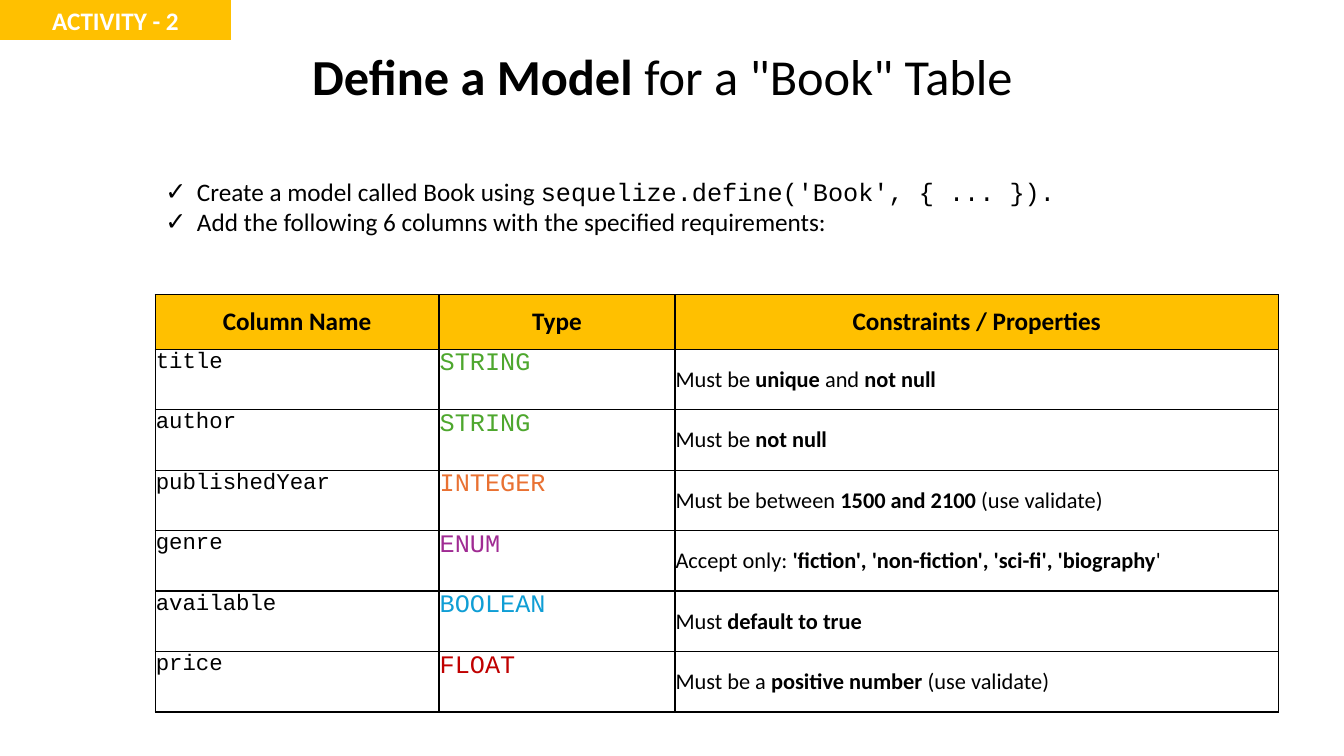
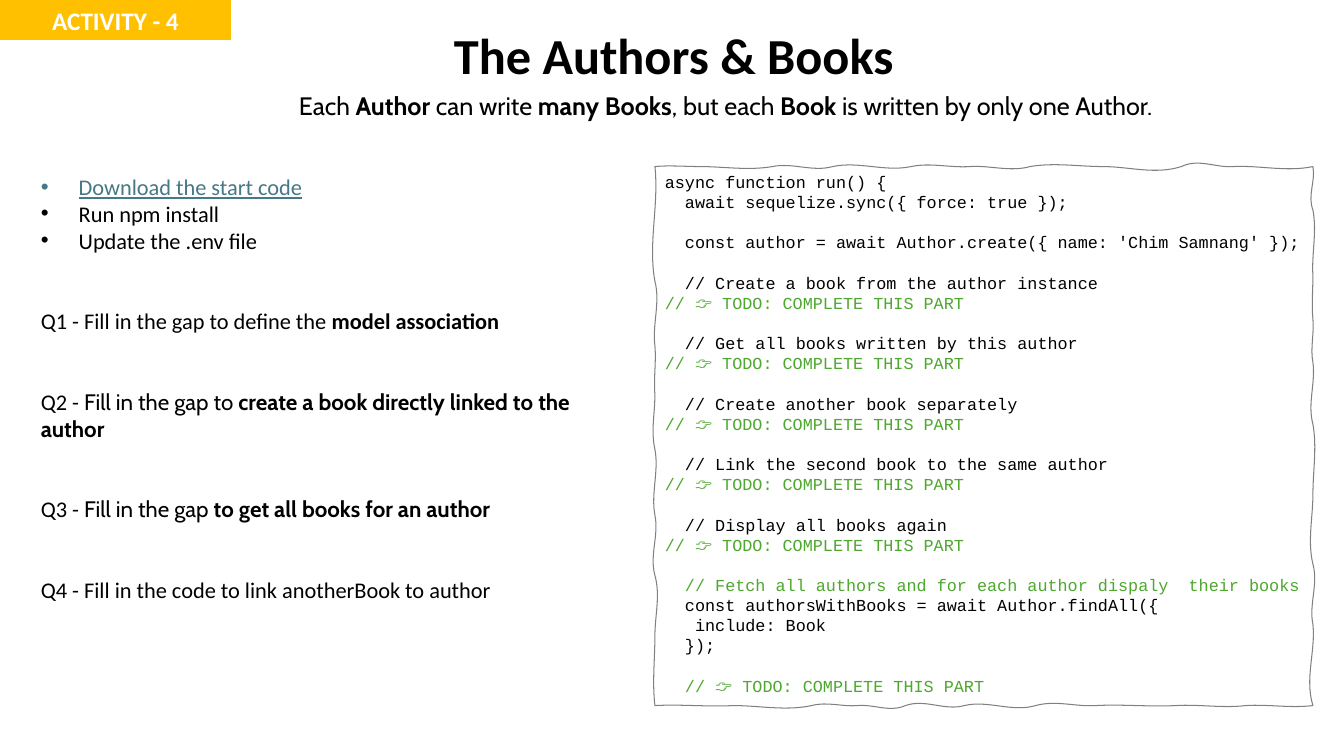
import pptx
import pptx.util
import pptx.dml.color
import pptx.enum.shapes
import pptx.enum.text
import pptx.oxml
import pptx.oxml.ns

Pt = pptx.util.Pt
ALIGN = pptx.enum.text.PP_ALIGN
ANCHOR = pptx.enum.text.MSO_ANCHOR

SANS, ROUND, MONO = "Calibri", "Cabin", "Courier New"
AMBER, BLACK, WHITE, GREEN, LINK = "FFC000", "000000", "FFFFFF", "4EA72E", "467886"
NAMESPACE = pptx.oxml.ns.nsdecls("a")


def paint(hex_color):
    return pptx.dml.color.RGBColor.from_string(hex_color)


def write(para, text, size=16, font=SANS, color=BLACK, underline=False):
    """Add text to a paragraph; parts between ** marks are bold."""
    for index, part in enumerate(text.split("**")):
        if part:
            span = para.add_run()
            span.text = part
            span.font.size = Pt(size)
            span.font.name = font
            span.font.bold = index % 2 == 1
            span.font.underline = underline
            span.font.color.rgb = paint(color)


# Each list item: bullet, space before, then (text, format) spans
question_gap = 38.4
checklist = [
    ("✓", 0, [("Create a model called Book using ", {}),
              ("sequelize.define('Book', { ... }).", {"font": MONO})]),
    ("✓", 0, [("Add the following 6 columns with the specified requirements:", {})]),
]
exercise = [
    ("•", 0, [("Download the start code", {"color": LINK, "underline": True})]),
    ("•", 0, [("Run npm install", {})]),
    ("•", 0, [("Update the .env file", {})]),
    (None, question_gap, [("Q1 - Fill in the gap to define the **model association**", {})]),
    (None, question_gap, [
        ("Q2 - ", {}),
        ("Fill in the gap to** create a book directly linked to the author**",
         {"font": ROUND})]),
    (None, question_gap, [
        ("Q3 - ", {}),
        ("Fill in the gap **to get all books for an author**", {"font": ROUND})]),
    (None, question_gap, [("Q4 - Fill in the code to link anotherBook to author", {})]),
]

# Each slide: band label, title, title box, list box, list size, hanging indent, list
slides = [
    ("ACTIVITY - 2", '**Define a Model** for a "Book" Table',
     (215.8, 28.4, 521, 51), (111, 122.4, 664, 51), 18, 22.5, checklist),
    ("ACTIVITY - 4", "**The Authors & Books**",
     (317, 13, 332, 51), (22, 120, 404, 318), 16, 27, exercise),
]

deck = pptx.Presentation()
deck.slide_width, deck.slide_height = Pt(960), Pt(540)

# Shared parts: title, list and activity band
pages = []
for label, title, title_box, list_box, size, hanging, items in slides:
    page = deck.slides.add_slide(deck.slide_layouts[1])
    pages.append(page)
    body = page.placeholders[1]
    for box, bounds in ((page.shapes.title, title_box), (body, list_box)):
        box.left, box.top, box.width, box.height = map(Pt, bounds)
        box.text_frame.word_wrap = True
        box.text_frame.auto_size = pptx.enum.text.MSO_AUTO_SIZE.NONE

    heading = page.shapes.title.text_frame.paragraphs[0]
    heading.alignment = ALIGN.LEFT
    write(heading, title, size=36)

    for index, (bullet, gap, spans) in enumerate(items):
        para = body.text_frame.add_paragraph() if index else body.text_frame.paragraphs[0]
        props = para._p.get_or_add_pPr()
        indent = Pt(hanging) if bullet else 0
        props.set("marL", str(indent))
        props.set("indent", str(-indent))
        tag = f'buChar {NAMESPACE} char="{bullet}"' if bullet else f"buNone {NAMESPACE}"
        props.append(pptx.oxml.parse_xml(f"<a:{tag}/>"))
        para.space_before = Pt(gap)
        for text, style in spans:
            write(para, text, size=size, **style)

    band = page.shapes.add_shape(
        pptx.enum.shapes.MSO_SHAPE.RECTANGLE, 0, 0, Pt(165), Pt(28.5))
    band.shadow.inherit = False
    band.fill.solid()
    band.fill.fore_color.rgb = paint(AMBER)
    band.line.fill.background()
    band.text_frame.vertical_anchor = ANCHOR.MIDDLE
    para = band.text_frame.paragraphs[0]
    para.alignment = ALIGN.CENTER
    write(para, f"**{label}**", size=18, color=WHITE)

model_page, author_page = pages

# Column requirements table
header = ["Column Name", "Type", "Constraints / Properties"]
columns = [
    ("title", "STRING", GREEN, "Must be **unique** and **not null**"),
    ("author", "STRING", GREEN, "Must be **not null**"),
    ("publishedYear", "INTEGER", "E97132", "Must be between **1500 and 2100 **(use validate)"),
    ("genre", "ENUM", "A02B93",
     "Accept only: **'fiction', 'non-fiction', 'sci-fi', 'biography**'"),
    ("available", "BOOLEAN", "0F9ED5", "Must **default to true**"),
    ("price", "FLOAT", "C00000", "Must be a **positive number **(use validate)"),
]
rows = [[(f"**{name}**", {"size": 18}) for name in header]]
for name, kind, color, rule in columns:
    rows.append([(name, {"font": MONO}),
                 (kind, {"font": MONO, "size": 18, "color": color}),
                 (rule, {})])

table = model_page.shapes.add_table(
    len(rows), len(header), Pt(110.8), Pt(210.6), Pt(802.5), Pt(298)).table
table.first_row = table.horz_banding = False
for column, width in zip(table.columns, (202.8, 168.5, 431.2)):
    column.width = Pt(width)
for row_index, row in enumerate(rows):
    is_header = row_index == 0
    table.rows[row_index].height = Pt(38.8 if is_header else 43.2)
    for column_index, (text, style) in enumerate(row):
        cell = table.cell(row_index, column_index)
        cell.margin_left = cell.margin_right = cell.margin_top = Pt(0.5)
        cell.margin_bottom = 0
        middle = is_header or column_index == 2
        cell.vertical_anchor = ANCHOR.MIDDLE if middle else ANCHOR.TOP
        if is_header:
            cell.fill.solid()
            cell.fill.fore_color.rgb = paint(AMBER)
        else:
            cell.fill.background()
        for position, side in enumerate("LRTB"):
            cell._tc.get_or_add_tcPr().insert(position, pptx.oxml.parse_xml(
                f'<a:ln{side} {NAMESPACE} w="{Pt(1)}"><a:solidFill>'
                f'<a:srgbClr val="{BLACK}"/></a:solidFill></a:ln{side}>'))
        para = cell.text_frame.paragraphs[0]
        para.alignment = ALIGN.CENTER if is_header else ALIGN.LEFT
        write(para, text, **style)

# Relation sentence under the title
relation = author_page.shapes.add_textbox(Pt(206.4), Pt(61.2), Pt(643), Pt(29))
relation.text_frame.word_wrap = True
write(relation.text_frame.paragraphs[0],
      "Each **Author** can write **many Books**, but each **Book** "
      "is written by only one Author.", size=18, font=ROUND)

# Hand-drawn code frame: each wave is (end along the edge, first bend, second bend)
code_left, code_top, code_width, code_height = 467.8, 119, 470, 385
edges = [
    (True, 0, 0, [(32, -1, 0), (84, 0, 3), (127, -3, 4), (183, -4, 4), (225, -3, 1),
                  (268, -1, 4), (320, -3, 0), (376, 0, 6), (413, -6, 1), (470, -1, 4)]),
    (False, code_width, 0, [(31, 2, -4), (78, 3, -1), (109, 0, -1), (140, 1, -2),
                            (184, 2, -4), (234, 3, 0), (284, 0, -4), (327, 4, -3),
                            (385, 2, -6)]),
    (True, code_height, code_width, [(422, 2, -1), (372, 2, -1), (315, 1, -1), (272, 1, -4),
                                     (221, 5, -4), (179, 4, -5), (145, 5, -1), (112, 1, -3),
                                     (56, 4, 0), (0, 1, -1)]),
    (False, 0, code_height, [(335, -2, 0), (292, 0, 4), (249, -4, 3), (202, -3, 3),
                             (163, -3, 0), (128, -1, 1), (82, -2, 4), (0, -5, 3)]),
]
curves = []
for horizontal, base, start, waves in edges:
    for end, first, second in waves:
        third = (end - start) / 3
        points = [(start + third, base + first), (end - third, base + second), (end, base)]
        curves.append(points if horizontal else [(x, y) for y, x in points])
        start = end

builder = author_page.shapes.build_freeform(Pt(code_left), Pt(code_top))
builder.add_line_segments(
    [(Pt(code_left + x), Pt(code_top + y)) for *bends, (x, y) in curves], close=True)
frame = builder.convert_to_shape()
frame.shadow.inherit = False
frame.fill.background()
frame.line.color.rgb = paint("808080")
frame.line.width = Pt(0.75)

# Bend each straight segment of the frame into its wave
segments = frame._element.findall(".//" + pptx.oxml.ns.qn("a:lnTo"))
for segment, points in zip(segments, curves):
    marks = "".join(f'<a:pt x="{Pt(x)}" y="{Pt(y)}"/>' for x, y in points)
    segment.getparent().replace(segment, pptx.oxml.parse_xml(
        f"<a:cubicBezTo {NAMESPACE}>{marks}</a:cubicBezTo>"))

# Code listing: a blank line becomes space before the next line
code = """async function run() {
  await sequelize.sync({ force: true });

  const author = await Author.create({ name: 'Chim Samnang' });

  // Create a book from the author instance
// 👉 TODO: COMPLETE THIS PART

  // Get all books written by this author
// 👉 TODO: COMPLETE THIS PART

  // Create another book separately
// 👉 TODO: COMPLETE THIS PART

  // Link the second book to the same author
// 👉 TODO: COMPLETE THIS PART

  // Display all books again
// 👉 TODO: COMPLETE THIS PART

  // Fetch all authors and for each author dispaly  their books
  const authorsWithBooks = await Author.findAll({
   include: Book
  });

  // 👉 TODO: COMPLETE THIS PART"""
line_height = 14.4
listing = frame.text_frame
listing.word_wrap = True
listing.vertical_anchor = ANCHOR.TOP
listing.margin_left = listing.margin_right = Pt(7.2)
listing.margin_top = listing.margin_bottom = Pt(3.6)
gap = 0
para = listing.paragraphs[0]
for index, line in enumerate(code.split("\n")):
    if not line:
        gap = line_height
        continue
    if index:
        para = listing.add_paragraph()
    para.alignment = ALIGN.LEFT
    para.line_spacing = Pt(line_height)
    para.space_before = Pt(gap)
    is_task = "TODO" in line or "Fetch" in line
    write(para, line, size=12, font=MONO, color=GREEN if is_task else BLACK)
    gap = 0

deck.save("out.pptx")
